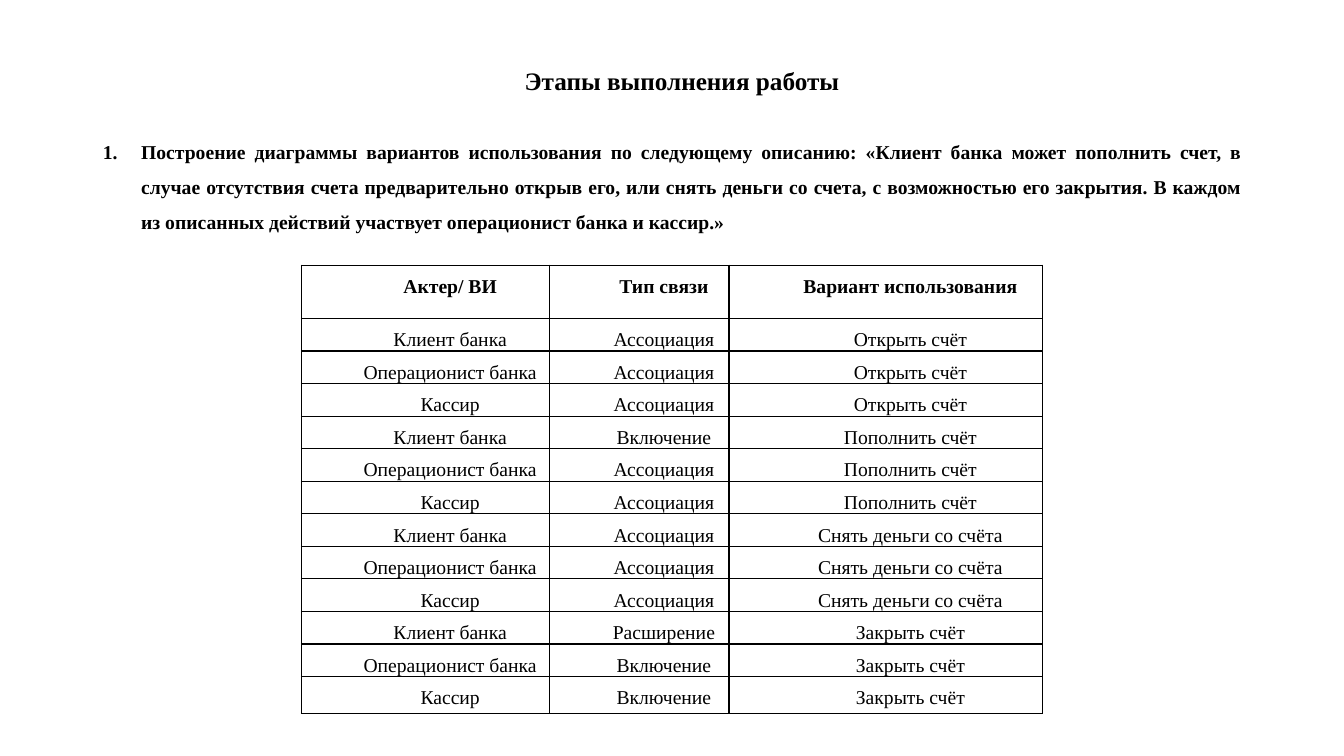
import dataclasses

import lxml.etree
import pptx
import pptx.dml.color
import pptx.enum.text
import pptx.oxml.ns
import pptx.util

Inches = pptx.util.Inches
Pt = pptx.util.Pt
qn = pptx.oxml.ns.qn
ALIGN = pptx.enum.text.PP_ALIGN


@dataclasses.dataclass(frozen=True)
class Theme:
    font: str = "Times New Roman"
    ink: str = "000000"
    paper: str = "FFFFFF"
    title_size: int = 18
    text_size: int = 14
    line_spacing: float = 1.5
    border_width: int = 1


THEME = Theme()

TITLE = "Этапы выполнения работы "
TASK = (
    "Построение диаграммы вариантов использования по следующему описанию: "
    "«Клиент банка может пополнить счет, в случае отсутствия счета предварительно "
    "открыв его, или снять деньги со счета, с возможностью его закрытия. В каждом "
    "из описанных действий участвует операционист банка и кассир.»"
)
HEADER = ("Актер/ ВИ", "Тип связи", "Вариант использования")
ACTORS = ("Клиент банка", "Операционист банка", "Кассир")
# Each use case with its link type for every actor
USE_CASES = {
    "Открыть счёт": ("Ассоциация", "Ассоциация", "Ассоциация"),
    "Пополнить счёт": ("Включение", "Ассоциация", "Ассоциация"),
    "Снять деньги со счёта": ("Ассоциация", "Ассоциация", "Ассоциация"),
    "Закрыть счёт": ("Расширение", "Включение", "Включение"),
}
COLUMN_WIDTHS = (2.46, 1.78, 3.11)
HEADER_HEIGHT, ROW_HEIGHT, LAST_HEIGHT = 0.53, 0.32, 0.37


def place(shape, box):
    shape.left, shape.top, shape.width, shape.height = (Inches(side) for side in box)


def format_para(para, size, bold, align, margin=0.0, indent=0.0):
    para.alignment = align
    para.line_spacing = THEME.line_spacing
    para.space_before = para.space_after = Pt(0)
    properties = para._p.get_or_add_pPr()
    properties.set("marL", str(Inches(margin)))
    properties.set("indent", str(Inches(indent)))
    for span in para.runs:
        span.font.name = THEME.font
        span.font.size = Pt(size)
        span.font.bold = bold
        span.font.color.rgb = pptx.dml.color.RGBColor.from_string(THEME.ink)
    return properties


def fill_placeholder(holder, box, text):
    place(holder, box)
    frame = holder.text_frame
    frame.text = text
    frame.word_wrap = True
    frame.auto_size = pptx.enum.text.MSO_AUTO_SIZE.NONE
    frame.vertical_anchor = pptx.enum.text.MSO_ANCHOR.TOP
    return frame.paragraphs[0]


def add_title(slide, box):
    para = fill_placeholder(slide.shapes.title, box, TITLE)
    format_para(para, THEME.title_size, True, ALIGN.CENTER, margin=0.25)


def add_task(slide, box):
    para = fill_placeholder(slide.placeholders[1], box, TASK)
    properties = format_para(para, THEME.text_size, True, ALIGN.JUSTIFY, 0.38, -0.38)
    lxml.etree.SubElement(properties, qn("a:buFont"), typeface="+mj-lt")
    lxml.etree.SubElement(properties, qn("a:buAutoNum"), type="arabicPeriod")


def add_borders(cell):
    properties = cell._tc.get_or_add_tcPr()
    for position, side in enumerate(("lnL", "lnR", "lnT", "lnB")):
        line = lxml.etree.Element(qn("a:" + side), w=str(Pt(THEME.border_width)))
        fill = lxml.etree.SubElement(line, qn("a:solidFill"))
        lxml.etree.SubElement(fill, qn("a:srgbClr"), val=THEME.ink)
        properties.insert(position, line)


def fill_cell(cell, text, bold):
    cell.text = text
    cell.margin_left = cell.margin_right = Inches(0.07)
    cell.margin_top = cell.margin_bottom = 0
    cell.fill.background()
    para = cell.text_frame.paragraphs[0]
    format_para(para, THEME.text_size, bold, ALIGN.CENTER, indent=0.49)
    add_borders(cell)


def add_links_table(slide, box):
    rows = [HEADER] + [
        (actor, link, use_case)
        for use_case, links in USE_CASES.items()
        for actor, link in zip(ACTORS, links)
    ]
    frame = slide.shapes.add_table(
        len(rows), len(HEADER), *(Inches(side) for side in box)
    )
    table = frame.table
    table.first_row = table.horz_banding = False
    for column, width in zip(table.columns, COLUMN_WIDTHS):
        column.width = Inches(width)
    heights = [HEADER_HEIGHT] + [ROW_HEIGHT] * (len(rows) - 2) + [LAST_HEIGHT]
    for index, (texts, height) in enumerate(zip(rows, heights)):
        table.rows[index].height = Inches(height)
        for column, text in enumerate(texts):
            fill_cell(table.cell(index, column), text, bold=index == 0)


def build_stages_slide(deck):
    slide = deck.slides.add_slide(deck.slide_layouts[1])
    background = slide.background.fill
    background.solid()
    background.fore_color.rgb = pptx.dml.color.RGBColor.from_string(THEME.paper)
    add_title(slide, (0.92, 0.45, 11.5, 0.6))
    add_task(slide, (0.92, 1.22, 11.5, 1.3))
    add_links_table(slide, (2.99, 2.63, sum(COLUMN_WIDTHS), 4.43))


def main():
    deck = pptx.Presentation()
    deck.slide_width, deck.slide_height = Inches(13.33), Inches(7.5)
    build_stages_slide(deck)
    deck.save("out.pptx")


if __name__ == "__main__":
    main()
